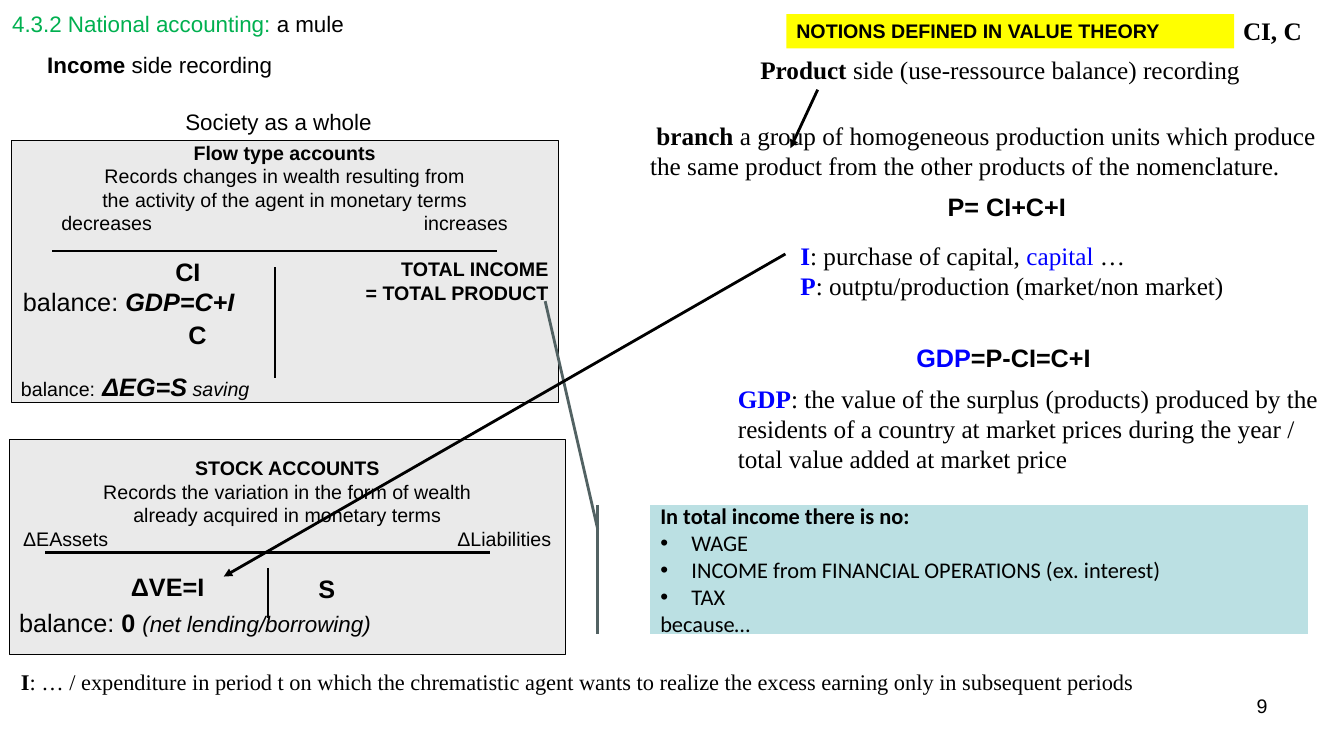
import pptx
import pptx.util
import pptx.dml.color
import pptx.enum.dml
import pptx.enum.shapes
import pptx.enum.text
import pptx.oxml.ns
import lxml.etree

PX = 9144
BLACK, BLUE, GREEN = "000000", "0000FF", "00B050"
SANS, SERIF, HUMANIST = "Arial", "Times New Roman", "Calibri"
LEFT = pptx.enum.text.PP_ALIGN.LEFT
CENTER = pptx.enum.text.PP_ALIGN.CENTER
RIGHT = pptx.enum.text.PP_ALIGN.RIGHT
TOP = pptx.enum.text.MSO_ANCHOR.TOP
MIDDLE = pptx.enum.text.MSO_ANCHOR.MIDDLE
RECTANGLE = pptx.enum.shapes.MSO_SHAPE.RECTANGLE
CALLOUT = pptx.enum.shapes.MSO_SHAPE.LINE_CALLOUT_1_ACCENT_BAR


def px(length):
    return pptx.util.Emu(length * PX)


def paint(color_format, color):
    color_format.rgb = pptx.dml.color.RGBColor.from_string(color)


def child(parent, tag, **attributes):
    return lxml.etree.SubElement(parent, pptx.oxml.ns.qn(tag), attributes)


def span(text, bold=False, italic=False, color=BLACK, size=None):
    return text, bold, italic, color, size


def line(*spans, align=LEFT, before=0, tabs=(), bullet=False):
    return spans, align, before, tabs, bullet


def add_bullet(properties, indent):
    properties.set("marL", str(px(indent)))
    properties.set("indent", str(-px(indent)))
    child(properties, "a:buFont", typeface="Arial")
    child(properties, "a:buChar", char="•")


def add_tabs(properties, tabs):
    tab_list = child(properties, "a:tabLst")
    for position, kind in tabs:
        child(tab_list, "a:tab", pos=str(px(position)), algn=kind)


def write(box, lines, size, font=SANS, anchor=TOP, wrap=True):
    frame = box.text_frame
    frame.auto_size = pptx.enum.text.MSO_AUTO_SIZE.NONE
    frame.word_wrap = wrap
    frame.vertical_anchor = anchor
    for index, (spans, align, before, tabs, bullet) in enumerate(lines):
        para = frame.add_paragraph() if index else frame.paragraphs[0]
        para.alignment = align
        para.space_before = pptx.util.Pt(before)
        properties = para._p.get_or_add_pPr()
        if bullet:
            add_bullet(properties, 31)
        if tabs:
            add_tabs(properties, tabs)
        for text, bold, italic, color, own_size in spans:
            run = para.add_run()
            run.text = text
            run.font.name = font
            run.font.size = pptx.util.Pt(own_size or size)
            run.font.bold, run.font.italic = bold, italic
            paint(run.font.color, color)


def add_label(page, place, lines, size=18, font=SANS, wrap=True):
    box = page.shapes.add_textbox(*map(px, place))
    write(box, lines, size, font, wrap=wrap)


def add_panel(page, kind, place, fill, outline=None, width=0.75):
    box = page.shapes.add_shape(kind, *map(px, place))
    box.shadow.inherit = False
    box.fill.solid()
    paint(box.fill.fore_color, fill)
    if outline:
        paint(box.line.color, outline)
        box.line.width = pptx.util.Pt(width)
    else:
        box.line.fill.background()
    return box


def add_line(page, start, end, width=1.75, arrow=False):
    straight = pptx.enum.shapes.MSO_CONNECTOR.STRAIGHT
    rule = page.shapes.add_connector(straight, *map(px, start + end))
    paint(rule.line.color, BLACK)
    rule.line.width = pptx.util.Pt(width)
    if arrow:
        child(rule.line._get_or_add_ln(), "a:tailEnd", type="triangle")
    child(rule._element.spPr, "a:effectLst")


def add_account(page, place, lines, crossbar, stem):
    left, top = place[:2]
    panel = add_panel(page, RECTANGLE, place, "CCCCCC", BLACK)
    fill_color = panel._element.spPr.find(".//" + pptx.oxml.ns.qn("a:srgbClr"))
    child(fill_color, "a:alpha", val="40000")
    write(panel, lines, 14, anchor=MIDDLE)
    bar_left, bar_top = left + crossbar[0], top + crossbar[1]
    add_line(page, (bar_left, bar_top), (bar_left + 441, bar_top))
    stem_left, stem_top = left + stem[0], top + stem[1]
    add_line(page, (stem_left, stem_top), (stem_left, stem_top + stem[2]))


def flow_account(page, left, top, width, height):
    add_label(page, (left + 163, top - 37, 207, 37),
              [line(span("Society as a whole"))], 16, wrap=False)
    add_account(page, (left, top, width, height), [
        line(span("Flow type accounts", bold=True), align=CENTER),
        line(span("Records changes in wealth resulting from"), align=CENTER),
        line(span("the activity of the agent in monetary terms"), align=CENTER),
        line(span("\tdecreases\tincreases"), tabs=((40, "l"), (483, "r"))),
        line(span("TOTAL INCOME", bold=True), align=RIGHT, before=16),
        line(span("= TOTAL PRODUCT", bold=True), align=RIGHT),
        line(span("balance:"), span(" ΔEG=S", bold=True, italic=True, size=18),
             span(" saving", italic=True), before=48),
    ], (41, 110), (262, 126, 110))
    add_label(page, (left + 153, top + 110, 45, 40),
              [line(span("CI", bold=True))], wrap=False)
    add_label(page, (left + 2, top + 140, 250, 40),
              [line(span("balance: "), span("GDP=C+I", bold=True, italic=True))])
    add_label(page, (left + 166, top + 173, 38, 40),
              [line(span("C", bold=True))], wrap=False)


def stock_account(page, left, top, width, height):
    add_account(page, (left, top, width, height), [
        line(span("STOCK ACCOUNTS", bold=True), align=CENTER),
        line(span("Records the variation in the form of wealth"), align=CENTER),
        line(span("already acquired in monetary terms"), align=CENTER),
        line(span("\tΔEAssets\tΔLiabilities"), tabs=((4, "l"), (528, "r"))),
        line(span("balance:", size=18), span(" 0 ", bold=True, size=18),
             span("(net lending/borrowing)", italic=True, size=16), before=41),
    ], (36, 112), (257, 128, 49))
    add_label(page, (left + 111, top + 126, 96, 40), [line(span("ΔVE=I", bold=True))])
    add_label(page, (left + 297, top + 128, 48, 40), [line(span("S", bold=True))])


def product_side(page, left, top, width):
    add_label(page, (left + 67, top, 580, 40), [
        line(span("Product ", bold=True),
             span("side (use-ressource balance) recording"), align=CENTER)], font=SERIF)
    add_label(page, (left, top + 65, width, 71), [
        line(span(" "), span("branch ", bold=True),
             span("a group of homogeneous production units which produce "
                  "the same product from the other products of the nomenclature."))],
        font=SERIF)
    add_line(page, (left + 176, top + 40), (left + 149, top + 98), 2, arrow=True)
    add_label(page, (left + 295, top + 136, 155, 40),
              [line(span("P= CI+C+I", bold=True))])
    add_label(page, (left + 149, top + 184, 520, 71), [
        line(span("I", bold=True, color=BLUE), span(": purchase of capital, "),
             span("capital", color=BLUE), span(" …")),
        line(span("P", bold=True, color=BLUE),
             span(": outptu/production (market/non market)"))], font=SERIF)
    add_label(page, (left + 264, top + 286, 224, 40), [
        line(span("GDP", bold=True, color=BLUE), span("=P-CI=C+I", bold=True))])
    add_label(page, (left + 87, top + 326, width - 86, 101), [
        line(span("GDP", bold=True, color=BLUE),
             span(": the value of the surplus (products) produced by the residents of a "
                  "country at market prices during the year / total value added at "
                  "market price"))], font=SERIF)


def income_callout(page, place):
    box = add_panel(page, CALLOUT, place, "BBE0E3", "526263", 2)
    for index, value in enumerate((0.19, -0.08, -1.58, -0.16)):
        box.adjustments[index] = value
    items = ("WAGE", "INCOME from FINANCIAL OPERATIONS (ex. interest)", "TAX")
    write(box, [line(span("In total income there is no:", bold=True)),
                *(line(span(item), bullet=True) for item in items),
                line(span("because…"))], 16, HUMANIST, MIDDLE)


def heading(page, left, top):
    title = page.shapes.title
    title.left, title.top, title.width, title.height = map(px, (left, top, 353, 37))
    write(title, [line(span("4.3.2 National accounting: ", color=GREEN),
                       span("a mule"))], 16, wrap=False)
    add_label(page, (left + 35, top + 41, 301, 37), [
        line(span("Income ", bold=True), span("side recording"))], 16)
    notions = add_panel(page, RECTANGLE, (left + 778, top + 9, 444, 34), "FFFF00")
    write(notions, [line(span("NOTIONS DEFINED IN VALUE THEORY", bold=True))], 14)
    add_label(page, (left + 1221, top + 5, 88, 40),
              [line(span("CI, C", bold=True))], font=SERIF)


def footer(page, left, top, width):
    add_label(page, (left, top, width, 37), [
        line(span("I", bold=True),
             span(": … / expenditure in period t on which the chrematistic agent wants "
                  "to realize the excess earning only in subsequent periods"))], 16, SERIF)
    add_label(page, (left + 945, top + 25, 311, 52),
              [line(span("9"), align=RIGHT)], 14)


def main():
    deck = pptx.Presentation()
    deck.slide_width, deck.slide_height = px(1333), px(750)
    page = deck.slides.add_slide(deck.slide_layouts[5])
    heading(page, 2, 5)
    product_side(page, 635, 49, 698)
    flow_account(page, 11, 139, 543, 260)
    stock_account(page, 9, 436, 552, 213)
    income_callout(page, (645, 501, 652, 128))
    add_line(page, (779, 252), (222, 572), 2, arrow=True)
    footer(page, 11, 658, 1270)
    deck.save("out.pptx")


if __name__ == "__main__":
    main()
